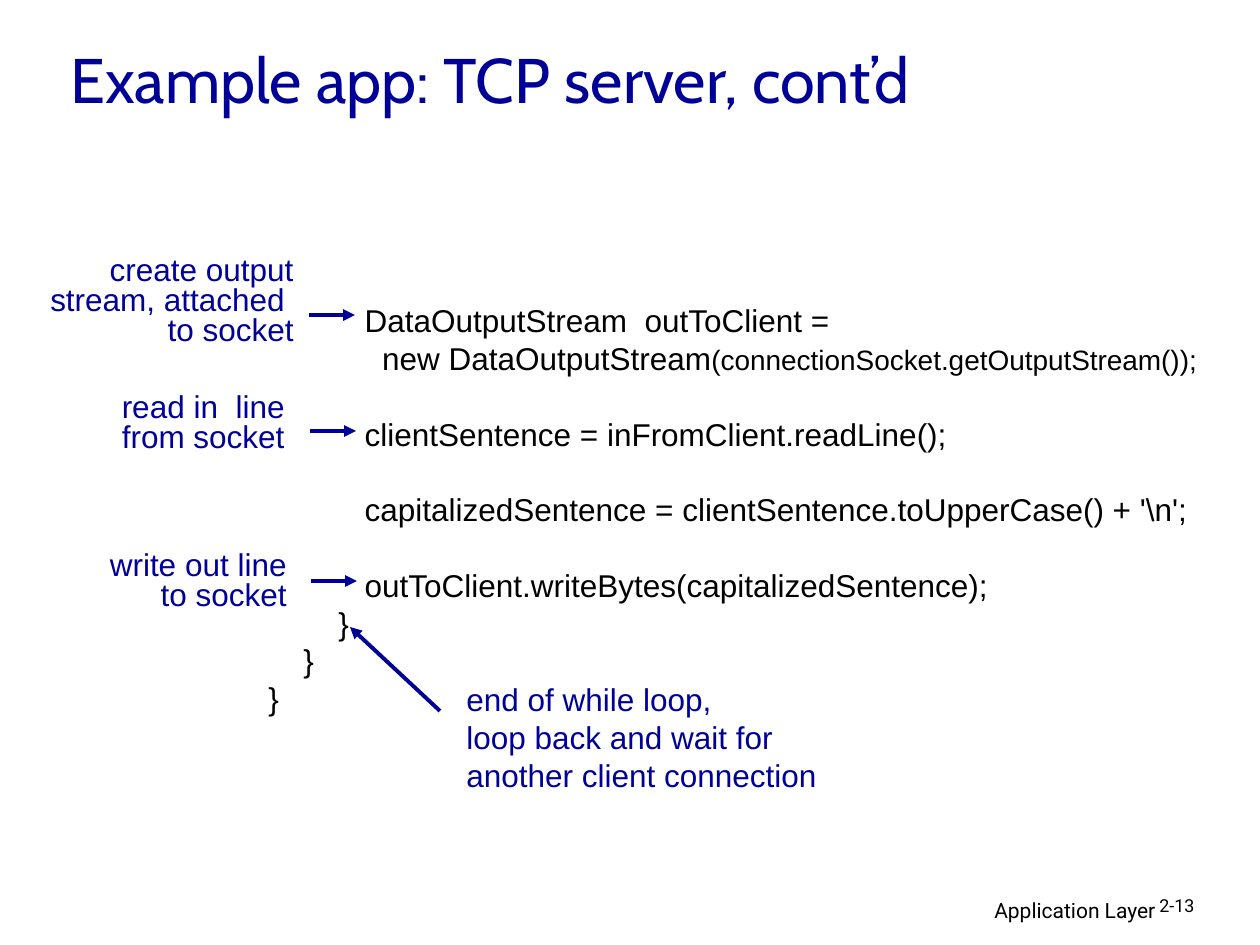
from lxml import etree
from pptx import Presentation
from pptx.dml.color import RGBColor
from pptx.enum.shapes import MSO_CONNECTOR
from pptx.enum.text import MSO_ANCHOR, PP_ALIGN
from pptx.oxml.ns import qn
from pptx.util import Pt

LEFT, RIGHT = PP_ALIGN.LEFT, PP_ALIGN.RIGHT
TOP, MIDDLE = MSO_ANCHOR.TOP, MSO_ANCHOR.MIDDLE
STRAIGHT = MSO_CONNECTOR.STRAIGHT

COLORS = {"navy": "000099", "black": "000000"}
CODE_SIZE = 18
LINE_PITCH = Pt(21.6)
TIGHT_PITCH = Pt(17.28)
SPACE_WIDTH = 5  # points, one space of the code font


def px(length):
    """Turn pixels, 126 to the inch, into EMU."""
    return round(length * 914400 / 126)


def add_text(bounds, lines, font, size, color, align=LEFT, anchor=TOP, spacing=None):
    """Add a text box with one paragraph per line and return its paragraphs."""
    box = page.shapes.add_textbox(*map(px, bounds))
    frame = box.text_frame
    frame.word_wrap = True
    frame.vertical_anchor = anchor
    frame.text = "\n".join(lines)
    for para in frame.paragraphs:
        para.alignment = align
        para.line_spacing = spacing
        for span in para.runs:
            span.font.name = font
            span.font.size = Pt(size)
            span.font.color.rgb = RGBColor.from_string(COLORS[color])
    return frame.paragraphs


deck = Presentation()
deck.slide_width, deck.slide_height = px(1260), px(945)
page = deck.slides.add_slide(deck.slide_layouts[6])

# Footer and title
add_text((769, 891, 399, 39), ["Application Layer"], "Roboto", 12, "black", align=RIGHT)
add_text((1147, 891, 93, 38), ["2-13"], "Roboto", 10.2, "black", spacing=0.9)
add_text((58, 13, 1071, 131), ["Example app: TCP server, cont’d"],
         "Cabin", 36, "navy", anchor=MIDDLE)

# Code: indent in spaces, empty lines above, text
code = [
    (11, 0, "DataOutputStream  outToClient ="),
    (13, 0, "new DataOutputStream"),
    (11, 1, "clientSentence = inFromClient.readLine();"),
    (11, 1, "capitalizedSentence = clientSentence.toUpperCase() + '\\n';"),
    (11, 1, "outToClient.writeBytes(capitalizedSentence);"),
    (8, 0, "}"),
    (4, 0, "}"),
    (0, 0, "}"),
]
code_paras = add_text((256, 295, 962, 428), [text for _, _, text in code],
                      "Arial", CODE_SIZE, "black", spacing=LINE_PITCH)
for para, (indent, gap, _) in zip(code_paras, code):
    para.space_before = LINE_PITCH * gap
    para._p.get_or_add_pPr().set("marL", str(Pt(indent * SPACE_WIDTH)))

argument = code_paras[1].add_run()
argument.text = "(connectionSocket.getOutputStream());"
argument.font.name = "Arial"
argument.font.size = Pt(16)
argument.font.color.rgb = RGBColor.from_string(COLORS["black"])

# Notes beside the code
notes = [
    ((18, 251, 288, 103), ["create output", "stream, attached ", "to socket"]),
    ((90, 388, 207, 73), ["read in  line", "from socket"]),
    ((80, 546, 219, 73), ["write out line", "to socket"]),
]
for bounds, lines in notes:
    add_text(bounds, lines, "Arial", CODE_SIZE, "navy", RIGHT, MIDDLE, TIGHT_PITCH)

add_text((454, 674, 390, 126),
         ["end of while loop,", "loop back and wait for", "another client connection"],
         "Arial", CODE_SIZE, "navy", LEFT, MIDDLE, LINE_PITCH)

# Arrows from the notes to the code
arrows = [
    (440, 711, 350, 627),
    (309, 315, 355, 315),
    (310, 431, 356, 431),
    (311, 581, 357, 581),
]
for ends in arrows:
    arrow = page.shapes.add_connector(STRAIGHT, *map(px, ends))
    arrow.line.color.rgb = RGBColor.from_string(COLORS["navy"])
    arrow.line.width = Pt(2.25)
    etree.SubElement(arrow.line._get_or_add_ln(), qn("a:tailEnd"), type="triangle")
    etree.SubElement(arrow._element.spPr, qn("a:effectLst"))

deck.save("out.pptx")
